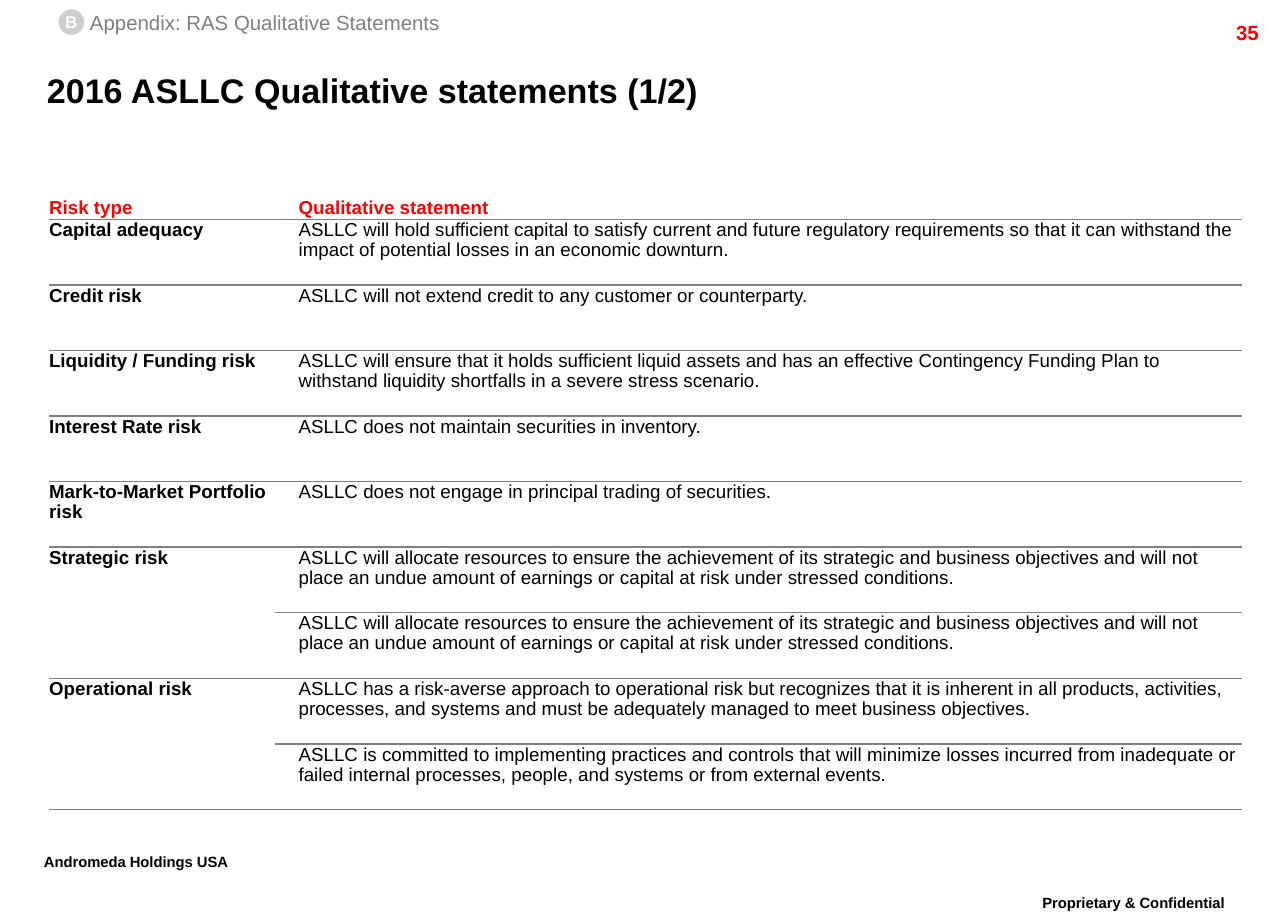
from pptx import Presentation
from pptx.dml.color import RGBColor
from pptx.enum.shapes import MSO_SHAPE
from pptx.enum.text import MSO_ANCHOR, MSO_AUTO_SIZE, PP_ALIGN
from pptx.oxml import parse_xml
from pptx.oxml.ns import nsdecls
from pptx.util import Pt

BLACK = RGBColor(0x00, 0x00, 0x00)
WHITE = RGBColor(0xFF, 0xFF, 0xFF)
RED = RGBColor(0xFF, 0x00, 0x00)
GREY = RGBColor(0x80, 0x80, 0x80)
LIGHT_GREY = RGBColor(0xCE, 0xCE, 0xCE)
NO_STYLE = "{2D5ABB26-0587-4C30-8999-92F81FD0307C}"


def write(frame, text, size, color, bold=True, align=PP_ALIGN.LEFT, spacing=None):
    paragraph = frame.paragraphs[0]
    paragraph.alignment = align
    paragraph.line_spacing = spacing
    run = paragraph.add_run()
    run.text = text
    run.font.name = "Arial"
    run.font.size = Pt(size)
    run.font.bold = bold
    run.font.color.rgb = color
    return run


def clear_margins(frame):
    frame.margin_left = frame.margin_right = 0
    frame.margin_top = frame.margin_bottom = 0
    frame.vertical_anchor = MSO_ANCHOR.MIDDLE


presentation = Presentation()
presentation.slide_width = Pt(756)
presentation.slide_height = Pt(540)
slide = presentation.slides.add_slide(presentation.slide_layouts[5])

footers = [
    ("Proprietary & Confidential", 586.8, 522, 157, PP_ALIGN.CENTER),
    ("Andromeda Holdings USA", 18.7, 497.5, 137.5, PP_ALIGN.LEFT),
]
for text, left, top, width, align in footers:
    footer = slide.shapes.add_textbox(Pt(left), Pt(top), Pt(width), Pt(25)).text_frame
    footer.word_wrap = True
    run = write(footer, text, 15, BLACK, align=align, spacing=0.86)
    run.font._element.set("baseline", "30000")

page_number = slide.shapes.add_textbox(Pt(674), Pt(8), Pt(72), Pt(17)).text_frame
page_number.word_wrap = True
write(page_number, "35", 12, RED, align=PP_ALIGN.RIGHT)

title = slide.shapes.title
title.left, title.top, title.width, title.height = Pt(27.5), Pt(35.3), Pt(682.5), Pt(34.5)
clear_margins(title.text_frame)
title.text_frame.auto_size = MSO_AUTO_SIZE.NONE
write(title.text_frame, "2016 ASLLC Qualitative statements (1/2)", 20, BLACK)

section_badge = slide.shapes.add_shape(MSO_SHAPE.OVAL, Pt(34.4), Pt(5.5), Pt(15), Pt(15))
section_badge.shadow.inherit = False
section_badge.fill.solid()
section_badge.fill.fore_color.rgb = LIGHT_GREY
section_badge.line.fill.background()
clear_margins(section_badge.text_frame)
section_badge.text_frame.word_wrap = False
write(section_badge.text_frame, "B", 10, WHITE, align=PP_ALIGN.CENTER)

section_name = slide.shapes.add_textbox(Pt(52.8), Pt(6), Pt(220), Pt(14.5)).text_frame
clear_margins(section_name)
section_name.word_wrap = True
write(section_name, "Appendix: RAS Qualitative Statements", 12, GREY, bold=False)

allocation = (
    "ASLLC will allocate resources to ensure the achievement of its strategic and business "
    "objectives and will not place an undue amount of earnings or capital at risk under "
    "stressed conditions."
)
statements = [
    ("Risk type", "Qualitative statement"),
    ("Capital adequacy",
     "ASLLC will hold sufficient capital to satisfy current and future regulatory requirements "
     "so that it can withstand the impact of potential losses in an economic downturn."),
    ("Credit risk", "ASLLC will not extend credit to any customer or counterparty."),
    ("Liquidity / Funding risk",
     "ASLLC will ensure that it holds sufficient liquid assets and has an effective Contingency "
     "Funding Plan to withstand liquidity shortfalls in a severe stress scenario."),
    ("Interest Rate risk", "ASLLC does not maintain securities in inventory."),
    ("Mark-to-Market Portfolio risk", "ASLLC does not engage in principal trading of securities."),
    ("Strategic risk", allocation),
    ("", allocation),
    ("Operational risk",
     "ASLLC has a risk-averse approach to operational risk but recognizes that it is inherent in "
     "all products, activities, processes, and systems and must be adequately managed to meet "
     "business objectives."),
    ("",
     "ASLLC is committed to implementing practices and controls that will minimize losses "
     "incurred from inadequate or failed internal processes, people, and systems or from "
     "external events."),
]
risk_frame = slide.shapes.add_table(
    len(statements), 2, Pt(28.8), Pt(115.2), Pt(700.5), Pt(360))
risk_table = risk_frame.table
risk_table.first_row = False
risk_table.horz_banding = False
risk_table._tbl.tblPr.find("{*}tableStyleId").text = NO_STYLE
risk_table.columns[0].width = Pt(132.5)
risk_table.columns[1].width = Pt(568)

for row, texts in enumerate(statements):
    is_header = row == 0
    risk_table.rows[row].height = Pt(13.5 if is_header else 38.5)
    for column, text in enumerate(texts):
        cell = risk_table.cell(row, column)
        cell.margin_left = Pt(14 * column)
        cell.margin_top = cell.margin_right = Pt(0.7)
        cell.margin_bottom = 0
        cell.vertical_anchor = MSO_ANCHOR.MIDDLE if is_header else MSO_ANCHOR.TOP
        for edge in ["lnB"] if is_header else ["lnT", "lnB"]:
            cell._tc.get_or_add_tcPr().append(parse_xml(
                f'<a:{edge} {nsdecls("a")} w="12700"><a:solidFill>'
                f'<a:srgbClr val="{GREY}"/></a:solidFill></a:{edge}>'))
        cell.fill.solid()
        cell.fill.fore_color.rgb = WHITE
        if text:
            write(cell.text_frame, text, 11, RED if is_header else BLACK,
                  bold=is_header or column == 0, spacing=0.96)
        else:
            risk_table.cell(row - 1, column).merge(cell)

presentation.save("out.pptx")
